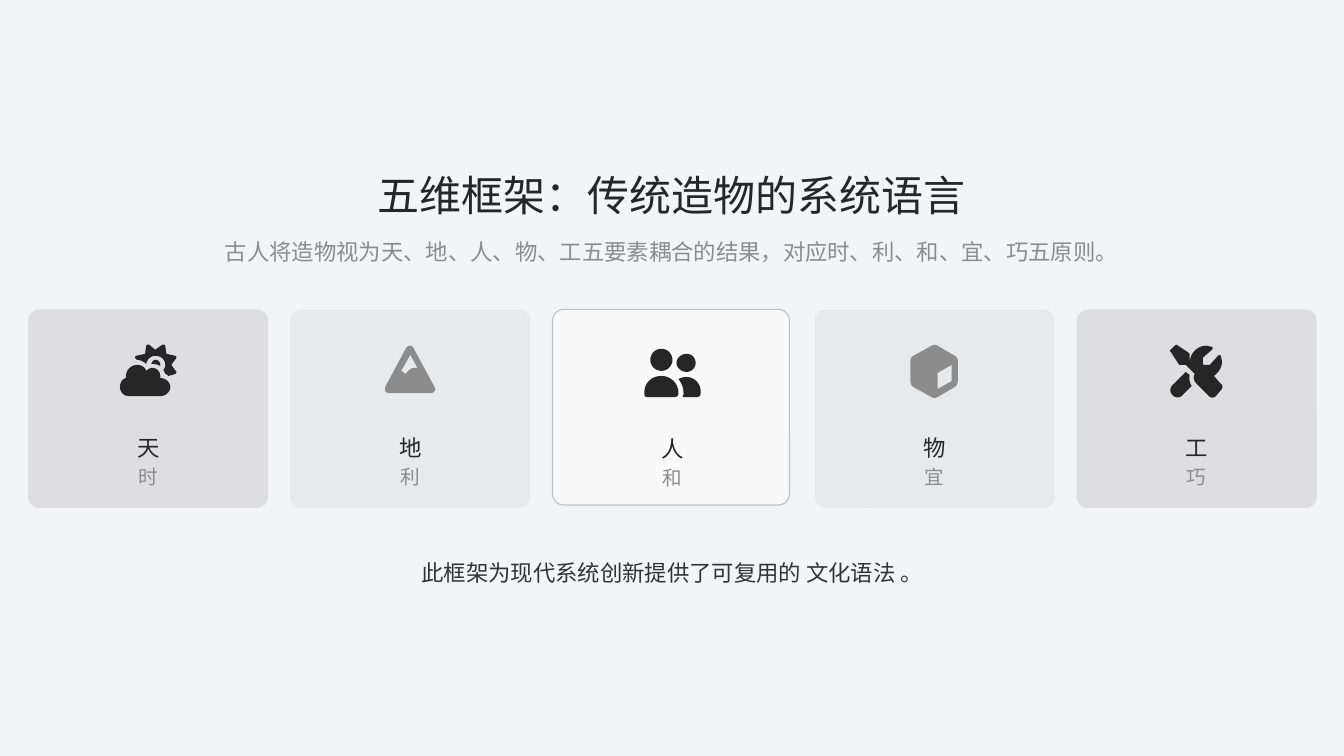
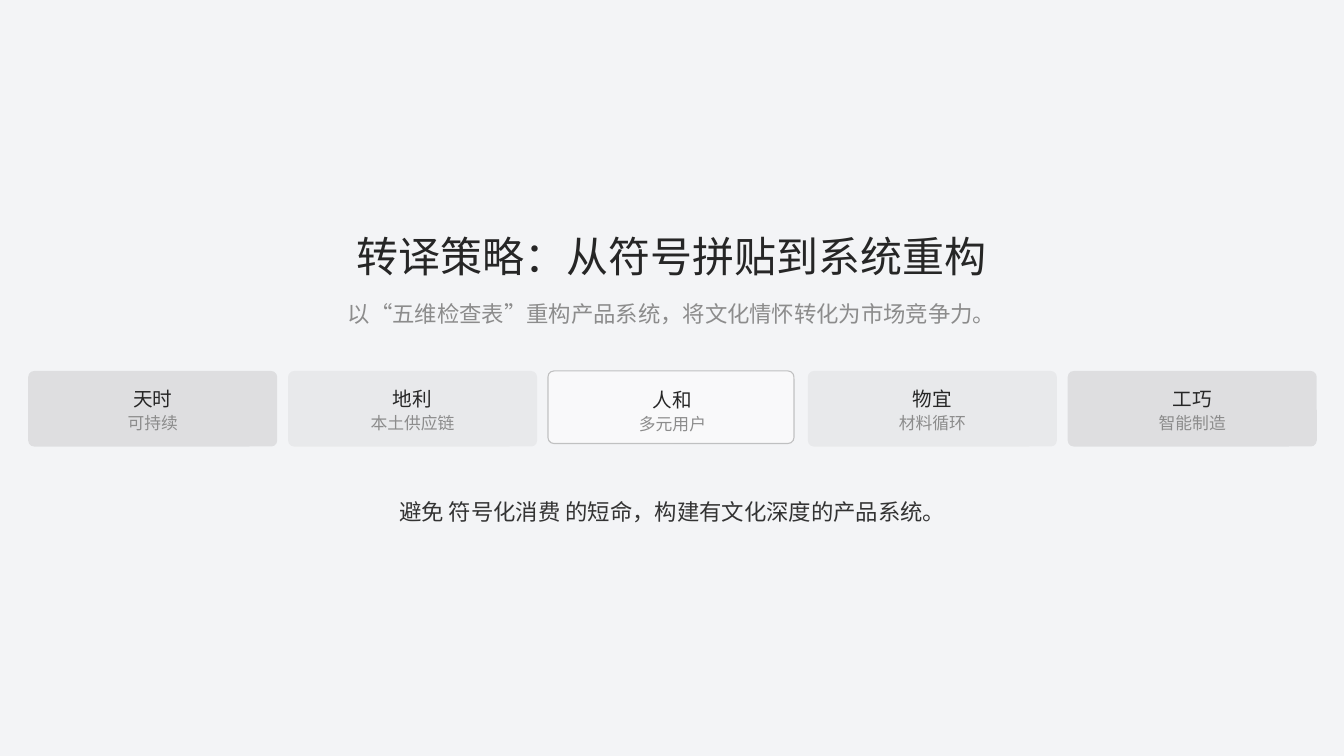
from lxml.etree import SubElement
from pptx import Presentation
from pptx.dml.color import RGBColor as RGB
from pptx.enum.shapes import MSO_SHAPE as SHAPE
from pptx.enum.text import MSO_ANCHOR as ANCHOR, MSO_AUTO_SIZE as SIZING, PP_ALIGN as ALIGN
from pptx.oxml.ns import qn
from pptx.util import Inches, Pt

FONT = "Noto Sans CJK SC"
HUE = {"back": "F3F4F6", "ink": "262626", "gray": "8C8C8C", "note": "333333", "white": "FFFFFF"}
WIDE, EDGE, SPAN = 13.33, 0.28, 12.78

# Text styles: size, line spacing, colour, box height
STYLE = {
    "title": (30, 1.0, "ink", 0.5),
    "lead": (16, 1.3, "gray", 0.33),
    "note": (16, 1.3, "note", 0.33),
    "big name": (16, 1.3, "ink", 0.33),
    "big word": (14, 1.2, "gray", 0.28),
    "name": (14, 1.2, "ink", 0.28),
    "word": (12, 1.1, "gray", 0.22),
}
FRAME = {"margin_left": 0, "margin_right": 0, "margin_top": 0, "margin_bottom": 0,
         "word_wrap": True, "auto_size": SIZING.NONE, "vertical_anchor": ANCHOR.MIDDLE}

# Card tints: fill colour, opacity in percent, outlined
TINTS = [("ink", 10, False), ("gray", 10, False), ("white", 50, True),
         ("gray", 10, False), ("ink", 10, False)]

# Icon outlines in hundredths of an inch, in a frame 56 wide
SUN = """M 44 0 L 45 1 46 9 55 11 56 12 56 13 51 20 56 27 56 28 55 29 48 31
C 47 30 46 29 45 29 C 44 27 44 26 43 25 C 44 24 45 22 45 20 C 45 15 41 11 35 11
C 31 11 27 14 26 19 C 24 17 20 15 17 15 L 15 13 15 12 16 11 25 9 26 1 27 0 29 0 35 5 42 0
M 40 20 L 40 21 C 38 20 35 19 32 19 L 31 19 C 32 17 33 15 35 15 C 38 15 40 17 40 20
M 9 51 C 4 51 0 47 0 42 C 0 38 2 34 6 33 L 6 31 C 6 25 11 20 17 20 C 21 20 25 22 26 26
C 28 24 30 23 32 23 C 37 23 40 27 40 31 L 40 33 C 45 33 50 37 50 42 C 50 47 45 51 40 51"""
PEAK = """M 28 1 C 29 1 30 2 31 3 L 52 42 C 53 44 53 45 52 46 C 51 47 50 48 49 48
L 7 48 C 5 48 4 47 3 46 C 3 45 3 44 3 42 L 24 3 C 25 2 26 1 28 1
M 19 26 L 22 28 C 23 29 24 29 24 28 L 28 24 C 29 24 30 23 31 23 L 35 23 28 10"""
PAIR = """M 6 15 C 6 9 11 4 17 4 C 23 4 28 9 28 15 C 28 21 23 26 17 26 C 11 26 6 21 6 15
M 0 48 C 0 38 7 31 17 31 C 26 31 34 38 34 48 C 34 51 32 52 30 52 L 4 52 C 1 52 0 51 0 48
M 42 9 C 47 9 51 13 51 18 C 51 23 47 27 42 27 C 37 27 32 23 32 18 C 32 13 37 9 42 9
M 42 32 C 49 32 56 38 56 46 L 56 48 C 56 51 54 52 52 52 L 38 52 C 38 51 39 50 39 48
C 39 43 37 38 34 34 C 36 33 39 32 42 32"""
CUBE = """M 25 1 C 27 0 29 0 31 1 L 48 11 C 50 12 51 14 51 16 L 51 36 C 51 38 50 41 48 42
L 31 52 C 29 53 27 53 25 52 L 7 42 C 5 41 4 38 4 36 L 4 16 C 4 14 5 12 7 11
M 45 36 L 45 20 31 28 31 44"""
TOOLS = """M 21 11 L 21 16 C 22 8 29 1 37 1 C 39 1 41 2 43 2 C 44 3 44 4 43 5
L 34 13 34 19 35 20 41 20 49 11 C 50 10 51 10 52 11 C 52 13 53 15 53 17
C 53 23 49 28 45 31 L 52 39 C 54 40 54 43 52 45 L 47 51 C 45 53 42 53 40 51
L 28 39 C 25 36 24 32 26 29 L 17 20 12 20 C 11 20 10 20 10 19 L 2 7 C 1 6 1 6 2 5
L 6 1 8 0 20 8 C 21 9 21 10 21 11
M 21 30 C 20 34 21 38 23 41 L 14 50 C 11 53 7 53 4 50 C 1 47 1 43 4 40 L 17 27"""
ICONS = [(SUN, "ink"), (PEAK, "gray"), (PAIR, "ink"), (CUBE, "gray"), (TOOLS, "ink")]

SLIDES = [
    {"title": "五维框架：传统造物的系统语言",
     "lead": "古人将造物视为天、地、人、物、工五要素耦合的结果，对应时、利、和、宜、巧五原则。",
     "note": "此框架为现代系统创新提供了可复用的 文化语法 。",
     "cards": [("天", "时"), ("地", "利"), ("人", "和"), ("物", "宜"), ("工", "巧")],
     "icons": ICONS, "tops": (1.68, 2.29, 3.07, 5.48), "card": (2.38, 1.97, 0.11),
     "rows": (("big name", 1.17), ("big word", 1.5))},
    {"title": "转译策略：从符号拼贴到系统重构",
     "lead": "以“五维检查表”重构产品系统，将文化情怀转化为市场竞争力。",
     "note": "避免 符号化消费 的短命，构建有文化深度的产品系统。",
     "cards": [("天时", "可持续"), ("地利", "本土供应链"), ("人和", "多元用户"),
               ("物宜", "材料循环"), ("工巧", "智能制造")],
     "icons": [], "tops": (2.29, 2.91, 3.68, 4.87), "card": (2.47, 0.75, 0.06),
     "rows": (("name", 0.11), ("word", 0.39))},
]


def color(key):
    return RGB.from_string(HUE[key])


def write(box, text, style, left, top, width):
    size, gap, hue, height = STYLE[style]
    place = {"left": left, "top": top, "width": width, "height": height}
    for key, val in place.items():
        setattr(box, key, Inches(val))
    frame = box.text_frame
    for key, val in FRAME.items():
        setattr(frame, key, val)
    para = frame.paragraphs[0]
    para.alignment, para.line_spacing = ALIGN.CENTER, gap
    run = para.add_run()
    run.text = text
    for key, val in {"size": Pt(size), "name": FONT, "bold": False}.items():
        setattr(run.font, key, val)
    run.font.color.rgb = color(hue)
    SubElement(run._r.get_or_add_rPr(), qn("a:ea"), typeface=FONT)


def label(slide, *args):
    write(slide.shapes.add_textbox(0, 0, 0, 0), *args)


def paint(fill, hue, alpha=100):
    """Fill with a colour at an opacity given in percent."""
    fill.solid()
    fill.fore_color.rgb = color(hue)
    if alpha < 100:
        node = fill._xPr.find(qn("a:solidFill"))[0]
        SubElement(node, qn("a:alpha"), val=str(alpha * 1000))


def panel(slide, left, top, size, tint):
    wide, high, curve = size
    hue, alpha, lined = tint
    trim = 0.03 if lined else 0
    wide, high = wide - trim, high - trim
    card = slide.shapes.add_shape(SHAPE.ROUNDED_RECTANGLE,
                                  *map(Inches, (left, top, wide, high)))
    card.adjustments[0] = curve / high
    card.shadow.inherit = False
    paint(card.fill, hue, alpha)
    if lined:
        paint(card.line.fill, "gray", 50)
        card.line.width = Pt(0.8)
    else:
        card.line.fill.background()


def trace(data):
    """Yield each loop of an outline as points, curves cut into short lines."""
    for loop in data.split("M")[1:]:
        pts = []
        for part in loop.replace("C", "|C").replace("L", "|L").split("|"):
            nums = [int(n) for n in part.strip("CL \n").split()]
            pairs = list(zip(nums[::2], nums[1::2]))
            if part.startswith("C"):
                ends = [pts[-1], *pairs]
                for step in range(1, 9):
                    t = step / 8
                    mix = ((1 - t) ** 3, 3 * t * (1 - t) ** 2, 3 * t * t * (1 - t), t ** 3)
                    pts.append(tuple(sum(m * p[axis] for m, p in zip(mix, ends))
                                     for axis in (0, 1)))
            else:
                pts += pairs
        yield pts


def draw(slide, data, hue, left, top):
    loops = [[(Inches(left + x / 100), Inches(top + y / 100)) for x, y in pts]
             for pts in trace(data)]
    pen = slide.shapes.build_freeform(*loops[0][0])
    for pts in loops:
        if pts is not loops[0]:
            pen.move_to(*pts[0])
        pen.add_line_segments(pts[1:], close=True)
    icon = pen.convert_to_shape()
    icon.shadow.inherit = False
    paint(icon.fill, hue)
    icon.line.fill.background()


def build(deck, page):
    slide = deck.slides.add_slide(deck.slide_layouts[5])
    head, lead, row, note = page["tops"]
    write(slide.shapes.title, page["title"], "title", 0, head, WIDE)
    label(slide, page["lead"], "lead", 0, lead, WIDE)
    wide = page["card"][0]
    step = (SPAN - wide) / (len(TINTS) - 1)
    for i, (words, tint) in enumerate(zip(page["cards"], TINTS)):
        left = EDGE + i * step
        panel(slide, left, row, page["card"], tint)
        if page["icons"]:
            draw(slide, *page["icons"][i], left + wide / 2 - 0.28, row + 0.35)
        drop = 0.01 if tint[2] else 0
        for text, (style, down) in zip(words, page["rows"]):
            label(slide, text, style, left, row + down + drop, wide)
    label(slide, page["note"], "note", EDGE, note, SPAN)


def main():
    deck = Presentation()
    deck.slide_width, deck.slide_height = Inches(WIDE), Inches(7.5)
    paint(deck.slide_master.background.fill, "back")
    for page in SLIDES:
        build(deck, page)
    deck.save("out.pptx")


if __name__ == "__main__":
    main()
